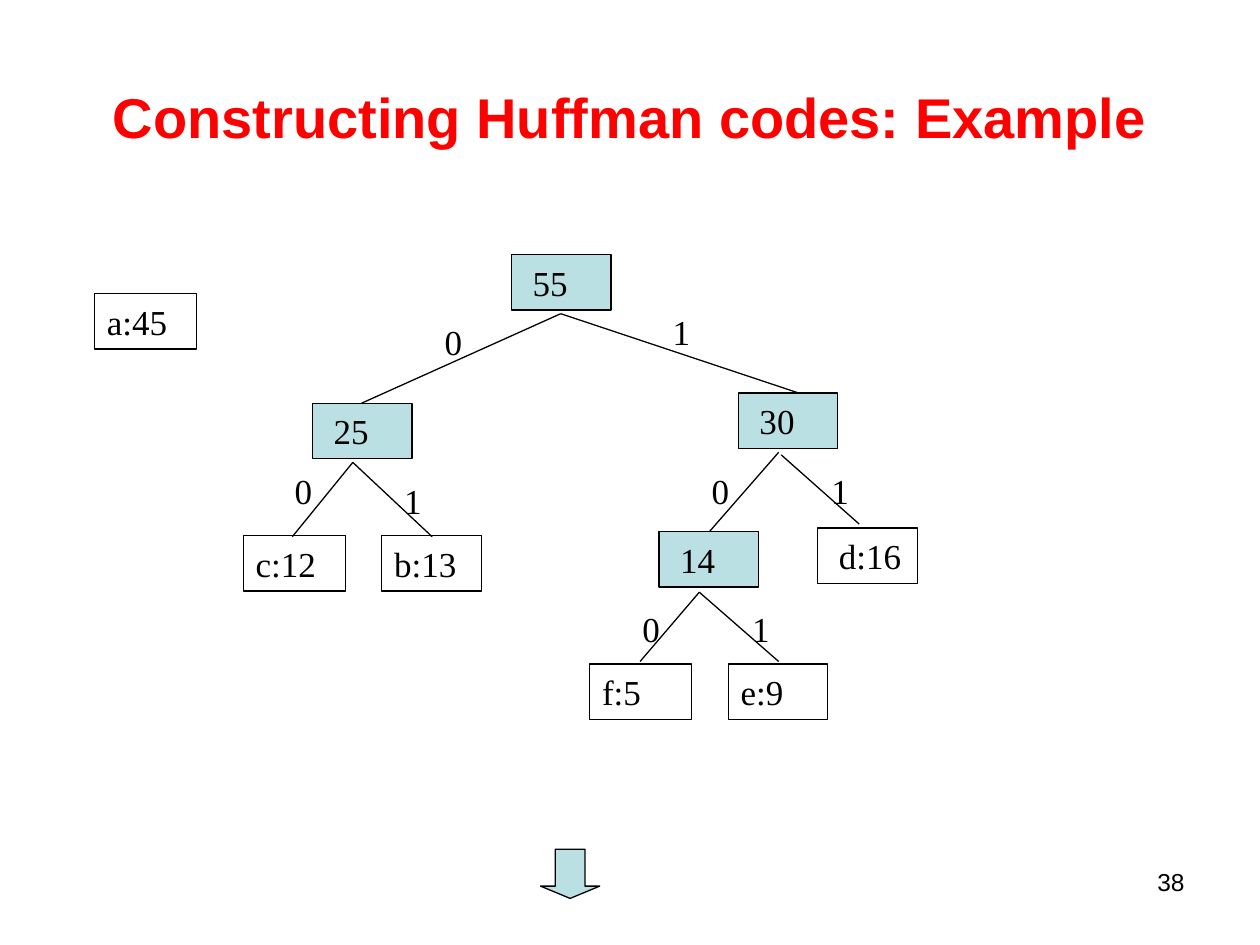
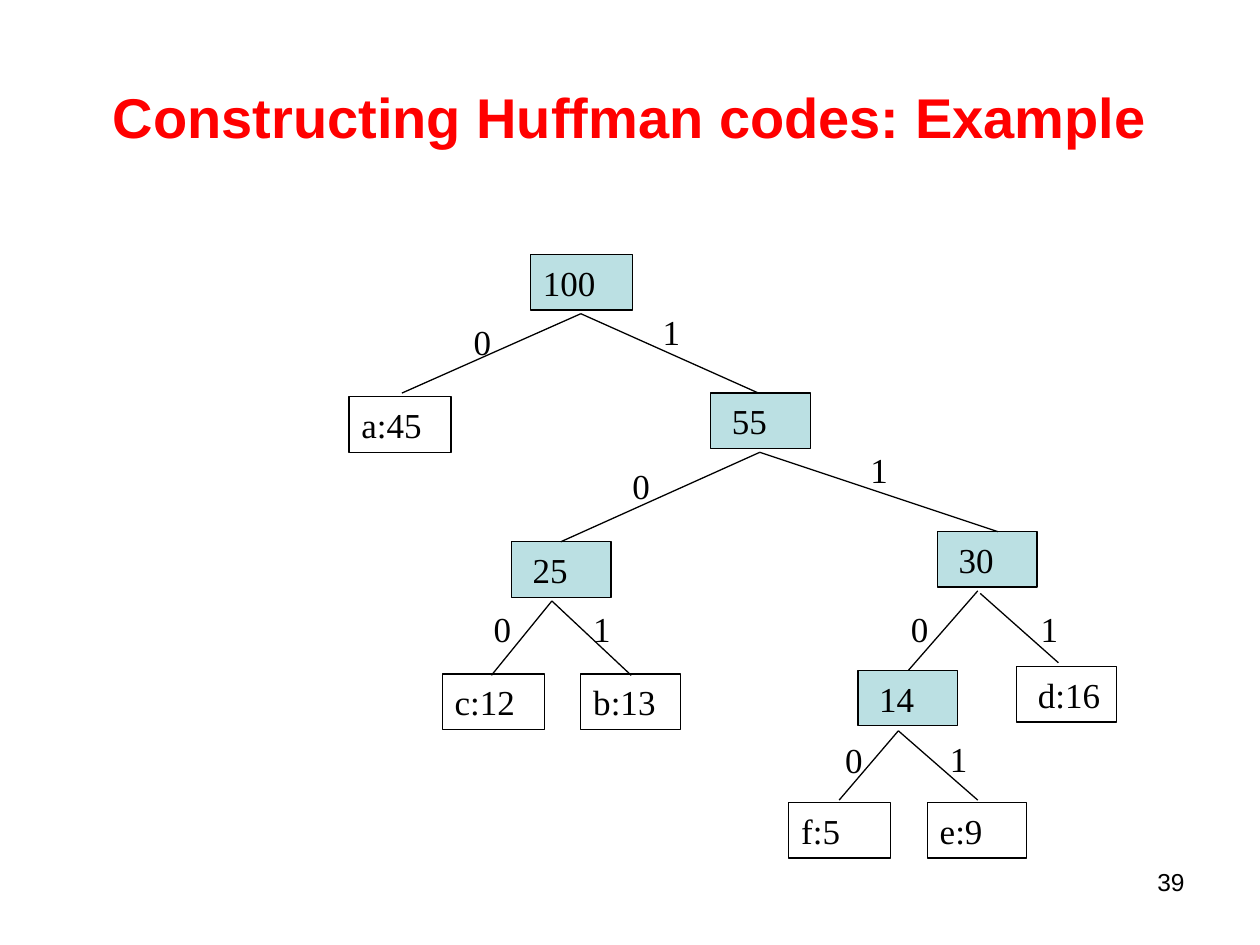
"""Build two slides that finish a Huffman code tree."""
import dataclasses

import lxml.etree
import pptx
import pptx.dml.color
import pptx.enum.shapes
import pptx.enum.text
import pptx.oxml.ns
import pptx.util
from pptx.util import Inches

ALIGN = pptx.enum.text.PP_ALIGN
SHAPES = pptx.enum.shapes.MSO_SHAPE


@dataclasses.dataclass(frozen=True)
class Theme:
    ink: pptx.dml.color.RGBColor = pptx.dml.color.RGBColor(0, 0, 0)
    heading: pptx.dml.color.RGBColor = pptx.dml.color.RGBColor(0xFF, 0, 0)
    merged: pptx.dml.color.RGBColor = pptx.dml.color.RGBColor(0xBB, 0xE0, 0xE3)
    slide_font: str = "Arial"
    tree_font: str = "Times New Roman"
    title_size: int = 32
    tree_size: int = 20
    number_size: int = 14
    line_width: float = 0.75


theme = Theme()


def write(holder, text, size, font, color, align=ALIGN.LEFT, bold=False,
          anchor=pptx.enum.text.MSO_ANCHOR.MIDDLE):
    frame = holder.text_frame
    frame.word_wrap = True
    frame.vertical_anchor = anchor
    paragraph = frame.paragraphs[0]
    paragraph.text = text
    paragraph.alignment = align
    paragraph.font.size = pptx.util.Pt(size)
    paragraph.font.name = font
    paragraph.font.bold = bold
    paragraph.font.color.rgb = color


def add_block(slide, kind, left, top, width, height, is_merged):
    block = slide.shapes.add_shape(
        kind, Inches(left), Inches(top), Inches(width), Inches(height))
    block.shadow.inherit = False
    if is_merged:
        block.fill.solid()
        block.fill.fore_color.rgb = theme.merged
    else:
        block.fill.background()
    block.line.color.rgb = theme.ink
    block.line.width = pptx.util.Pt(theme.line_width)
    return block


NARROW, WIDE, ROW = 0.79, 0.81, 0.44
LABEL_WIDTH = 0.31

subtree_nodes = [
    (" 55", 4.06, 2.02, NARROW, True),
    (" 25", 2.48, 3.2, NARROW, True),
    (" 30", 5.86, 3.12, NARROW, True),
    ("c:12", 1.93, 4.25, WIDE, False),
    ("b:13", 3.03, 4.25, NARROW, False),
    (" 14", 5.23, 4.22, NARROW, True),
    (" d:16", 6.49, 4.19, NARROW, False),
    ("f:5", 4.68, 5.27, WIDE, False),
    ("e:9", 5.78, 5.27, NARROW, False),
]
subtree_edges = [
    (4.45, 2.49, 2.87, 3.2), (4.45, 2.49, 6.34, 3.12),
    (2.8, 3.67, 2.32, 4.26), (2.8, 3.67, 3.43, 4.26),
    (6.18, 3.59, 5.63, 4.22), (6.2, 3.61, 6.82, 4.16),
    (5.55, 4.7, 5.08, 5.25), (5.55, 4.7, 6.18, 5.25),
]

steps = [
    {
        "number": "38",
        "shift": (0, 0),
        "nodes": [("a:45", 0.75, 2.33, WIDE, False)],
        "edges": [],
        "bits": {
            "0": [(3.43, 2.49), (2.24, 3.67), (5.55, 3.67), (5, 4.77)],
            "1": [(5.24, 2.41), (3.11, 3.75), (6.5, 3.67), (5.87, 4.77)],
        },
        "continues": True,
    },
    {
        "number": "39",
        "shift": (1.58, 1.1),
        "nodes": [("100", 4.21, 2.02, WIDE, True),
                  ("a:45", 2.77, 3.15, WIDE, False)],
        "edges": [(4.61, 2.49, 3.19, 3.12), (4.61, 2.49, 6.02, 3.12)],
        "bits": {
            "0": [(3.66, 2.49), (4.92, 3.63), (3.82, 4.77), (7.13, 4.77),
                  (6.61, 5.81)],
            "1": [(5.16, 2.41), (6.81, 3.51), (4.61, 4.77), (8.16, 4.77),
                  (7.44, 5.8)],
        },
        "continues": False,
    },
]

deck = pptx.Presentation()
deck.slide_width, deck.slide_height = Inches(10), Inches(7.5)

for step in steps:
    slide = deck.slides.add_slide(deck.slide_layouts[6])
    title = slide.shapes.add_textbox(
        Inches(0.5), Inches(0.3), Inches(9), Inches(1.25))
    write(title, "Constructing Huffman codes: Example", theme.title_size,
          theme.slide_font, theme.heading, ALIGN.CENTER, bold=True)

    if step["continues"]:
        next_arrow = add_block(
            slide, SHAPES.DOWN_ARROW, 4.29, 6.74, 0.47, 0.39, True)
        next_arrow.adjustments[0] = 0.5
        next_arrow.adjustments[1] = 0.25

    dx, dy = step["shift"]
    nodes = step["nodes"] + [
        (text, x + dx, y + dy, width, is_merged)
        for text, x, y, width, is_merged in subtree_nodes]
    edges = step["edges"] + [
        (x1 + dx, y1 + dy, x2 + dx, y2 + dy)
        for x1, y1, x2, y2 in subtree_edges]

    for text, x, y, width, is_merged in nodes:
        node = add_block(slide, SHAPES.RECTANGLE, x, y, width, ROW, is_merged)
        write(node, text, theme.tree_size, theme.tree_font, theme.ink)

    for ends in edges:
        edge = slide.shapes.add_connector(
            pptx.enum.shapes.MSO_CONNECTOR.STRAIGHT, *map(Inches, ends))
        edge.line.color.rgb = theme.ink
        edge.line.width = pptx.util.Pt(theme.line_width)
        lxml.etree.SubElement(
            edge._element.spPr, pptx.oxml.ns.qn("a:effectLst"))

    for bit, places in step["bits"].items():
        for x, y in places:
            label = slide.shapes.add_textbox(
                Inches(x), Inches(y), Inches(LABEL_WIDTH), Inches(ROW))
            write(label, bit, theme.tree_size, theme.tree_font, theme.ink)

    page_number = slide.shapes.add_textbox(
        Inches(7.17), Inches(6.83), Inches(2.33), Inches(0.52))
    write(page_number, step["number"], theme.number_size, theme.slide_font,
          theme.ink, ALIGN.RIGHT, anchor=pptx.enum.text.MSO_ANCHOR.TOP)

deck.save("out.pptx")
